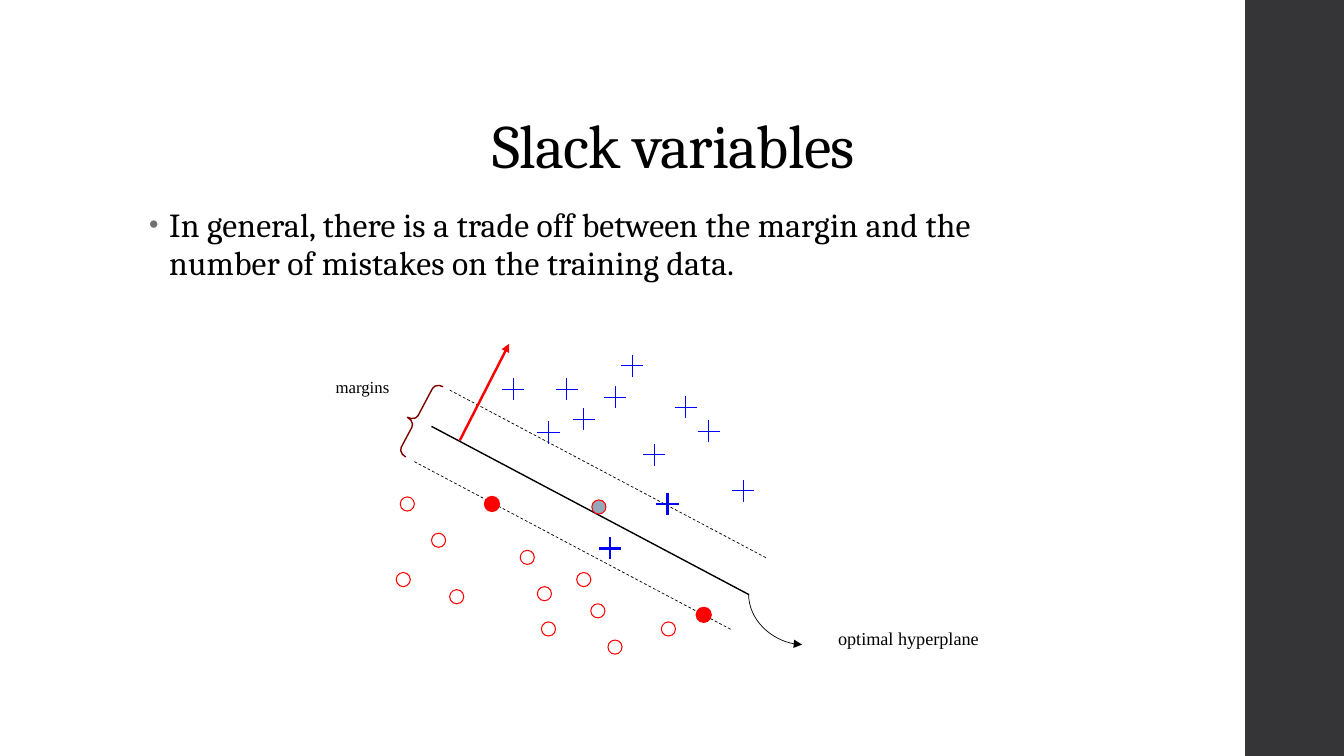
from dataclasses import dataclass
from typing import Optional

from lxml.etree import SubElement
from pptx import Presentation
from pptx.dml.color import RGBColor
from pptx.enum.shapes import MSO_CONNECTOR, MSO_SHAPE
from pptx.enum.dml import MSO_LINE
from pptx.enum.text import MSO_ANCHOR, MSO_AUTO_SIZE, PP_ALIGN
from pptx.oxml.ns import qn
from pptx.util import Emu, Pt

EMU_PER_PX = 9144  # 100 px to the inch

BLACK = RGBColor(0x00, 0x00, 0x00)
BLUE = RGBColor(0x00, 0x00, 0xFF)
RED = RGBColor(0xFF, 0x00, 0x00)
MAROON = RGBColor(0x80, 0x00, 0x00)
SLATE = RGBColor(0x92, 0xA9, 0xB9)
CHARCOAL = RGBColor(0x35, 0x35, 0x37)

HEADING_FONT = "Cambria"
LABEL_FONT = "Times New Roman"
CIRCLE_SIZE = 14
CROSS_ARM = 11


@dataclass(frozen=True)
class Segment:
    x1: int
    y1: int
    x2: int
    y2: int
    color: RGBColor = BLACK
    width: float = 0.5
    dashed: bool = False
    arrow: bool = False
    kind: MSO_CONNECTOR = MSO_CONNECTOR.STRAIGHT


@dataclass(frozen=True)
class Circle:
    left: int
    top: int
    fill: Optional[RGBColor] = None
    width: float = 0.75


@dataclass(frozen=True)
class Cross:
    x: int
    y: int
    width: float = 0.75


@dataclass(frozen=True)
class Label:
    text: str
    left: int
    top: int
    width: int
    height: int
    size: int


MARGIN_LINES = [
    Segment(446, 387, 761, 554, dashed=True),
    Segment(411, 458, 726, 625, dashed=True),
]
HYPERPLANE = Segment(428, 423, 743, 590, width=1)
NORMAL_VECTOR = Segment(456, 437, 505, 341, RED, 1.75, arrow=True)
HYPERPLANE_POINTER = Segment(794, 588, 744, 641, arrow=True, kind=MSO_CONNECTOR.CURVE)

CROSSES = [
    Cross(x, y)
    for x, y in [
        (680, 404), (610, 394), (649, 451), (579, 416), (737, 487),
        (562, 386), (509, 386), (544, 429), (627, 363), (703, 428),
    ]
] + [Cross(662, 500, 2), Cross(605, 544, 2)]

CIRCLES = [
    Circle(left, top)
    for left, top in [
        (428, 529), (516, 546), (533, 582), (586, 599), (656, 617), (603, 635),
        (393, 568), (397, 493), (446, 585), (572, 568), (537, 617),
    ]
] + [
    Circle(481, 493, RED, 1.5),
    Circle(691, 603, RED, 1.5),
    Circle(587, 496, SLATE),
]


def px(value: int) -> Emu:
    return Emu(value * EMU_PER_PX)


def box(left: int, top: int, width: int, height: int) -> tuple:
    return px(left), px(top), px(width), px(height)


def add_run(paragraph, text: str, font: str, size: int, spacing: int = 0) -> None:
    """Add a black run; spacing is in hundredths of a point."""
    run = paragraph.add_run()
    run.text = text
    run.font.name = font
    run.font.size = Pt(size)
    run.font.color.rgb = BLACK
    if spacing:
        run.font._element.set("spc", str(spacing))


def draw_segment(shapes, segment: Segment):
    connector = shapes.add_connector(
        segment.kind, px(segment.x1), px(segment.y1), px(segment.x2), px(segment.y2)
    )
    connector.line.color.rgb = segment.color
    connector.line.width = Pt(segment.width)
    if segment.dashed:
        connector.line.dash_style = MSO_LINE.DASH
    if segment.arrow:
        SubElement(connector.line._get_or_add_ln(), qn("a:tailEnd"), type="triangle")
    SubElement(connector._element.spPr, qn("a:effectLst"))
    return connector


def draw_quarter_curve(shapes, segment: Segment) -> None:
    """Draw a curve that leaves downwards and arrives from the left."""
    properties = draw_segment(shapes, segment)._element.spPr
    properties.find(qn("a:prstGeom")).set("prst", "curvedConnector2")
    properties.find(qn("a:xfrm")).set("rot", str(270 * 60000))


def draw_cross(shapes, cross: Cross) -> None:
    for dx, dy in [(CROSS_ARM, 0), (0, CROSS_ARM)]:
        draw_segment(
            shapes,
            Segment(cross.x - dx, cross.y - dy, cross.x + dx, cross.y + dy, BLUE, cross.width),
        )


def draw_circle(shapes, circle: Circle) -> None:
    shape = shapes.add_shape(
        MSO_SHAPE.OVAL, *box(circle.left, circle.top, CIRCLE_SIZE, CIRCLE_SIZE)
    )
    shape.shadow.inherit = False
    if circle.fill is None:
        shape.fill.background()
    else:
        shape.fill.solid()
        shape.fill.fore_color.rgb = circle.fill
    shape.line.color.rgb = RED
    shape.line.width = Pt(circle.width)


def draw_margin_brace(shapes) -> None:
    brace = shapes.add_shape(MSO_SHAPE.LEFT_BRACE, *box(405, 375, 17, 79))
    brace.shadow.inherit = False
    brace.rotation = 28
    brace.adjustments[0] = 0.38
    brace.adjustments[1] = 0.55
    brace.fill.background()
    brace.line.color.rgb = MAROON
    brace.line.width = Pt(1)


def add_label(shapes, label: Label):
    frame = shapes.add_textbox(
        *box(label.left, label.top, label.width, label.height)
    ).text_frame
    frame.word_wrap = True
    add_run(frame.paragraphs[0], label.text, LABEL_FONT, label.size)
    return frame


def add_side_band(shapes) -> None:
    band = shapes.add_shape(MSO_SHAPE.RECTANGLE, *box(1235, 0, 98, 750))
    band.shadow.inherit = False
    band.fill.solid()
    band.fill.fore_color.rgb = CHARCOAL
    band.line.fill.background()


def format_title(title) -> None:
    title.left, title.top, title.width, title.height = box(138, 40, 1060, 145)
    frame = title.text_frame
    frame.auto_size = MSO_AUTO_SIZE.NONE
    frame.vertical_anchor = MSO_ANCHOR.BOTTOM
    paragraph = frame.paragraphs[0]
    paragraph.alignment = PP_ALIGN.CENTER
    paragraph.line_spacing = 0.9
    add_run(paragraph, "Slack variables", HEADING_FONT, 44, -50)


def add_body(shapes) -> None:
    frame = shapes.add_textbox(*box(138, 200, 940, 476)).text_frame
    frame.word_wrap = True
    paragraph = frame.paragraphs[0]
    paragraph.line_spacing = 0.95
    paragraph.space_after = Pt(2)
    properties = paragraph._element.get_or_add_pPr()
    properties.set("marL", str(px(20)))
    properties.set("indent", str(px(-20)))
    bullet_color = SubElement(properties, qn("a:buClr"))
    SubElement(bullet_color, qn("a:srgbClr"), val="6F6F74")
    SubElement(properties, qn("a:buSzPct"), val="80000")
    SubElement(properties, qn("a:buFont"), typeface="Arial")
    SubElement(properties, qn("a:buChar"), char="•")
    add_run(
        paragraph,
        "In general, there is a trade off between the margin and the "
        "number of mistakes on the training data.",
        HEADING_FONT, 24, 10,
    )


def draw_diagram(shapes) -> None:
    for segment in [*MARGIN_LINES, HYPERPLANE]:
        draw_segment(shapes, segment)
    for circle in CIRCLES:
        draw_circle(shapes, circle)
    for cross in CROSSES:
        draw_cross(shapes, cross)
    draw_quarter_curve(shapes, HYPERPLANE_POINTER)
    draw_margin_brace(shapes)
    draw_segment(shapes, NORMAL_VECTOR)
    add_label(shapes, Label("margins", 323, 369, 105, 48, 12))
    frame = add_label(shapes, Label("optimal hyperplane", 796, 622, 210, 31, 13))
    frame.margin_left = frame.margin_top = frame.margin_right = frame.margin_bottom = 0
    frame.paragraphs[0].alignment = PP_ALIGN.CENTER


def main() -> None:
    presentation = Presentation()
    presentation.slide_width, presentation.slide_height = px(1333), px(750)
    slide = presentation.slides.add_slide(presentation.slide_layouts[5])
    add_side_band(slide.shapes)
    format_title(slide.shapes.title)
    add_body(slide.shapes)
    draw_diagram(slide.shapes.add_group_shape().shapes)
    presentation.save("out.pptx")


if __name__ == "__main__":
    main()
